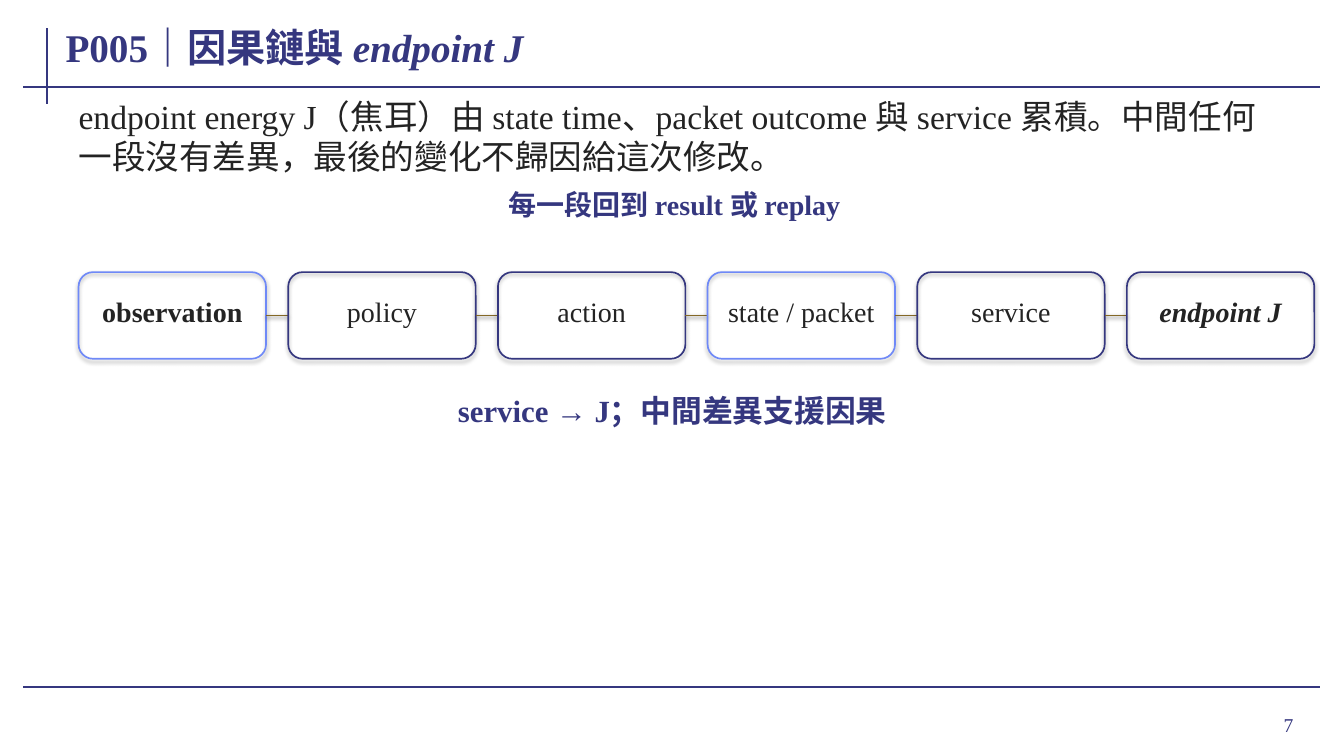
from dataclasses import dataclass

import pptx
import pptx.dml.color
import pptx.enum.shapes
import pptx.enum.text
import pptx.oxml
import pptx.oxml.ns
import pptx.util

Pt = pptx.util.Pt
RGBColor = pptx.dml.color.RGBColor
ALIGN = pptx.enum.text.PP_ALIGN
ANCHOR = pptx.enum.text.MSO_ANCHOR
AUTO = pptx.enum.text.MSO_AUTO_SIZE

NAVY = RGBColor(0x35, 0x37, 0x7F)
BLUE = RGBColor(0x6F, 0x89, 0xF7)
INK = RGBColor(0x23, 0x23, 0x23)
BROWN = RGBColor(0x84, 0x68, 0x26)
FONT = "Times New Roman"

STEP_LEFT, STEP_TOP, STEP_W, STEP_H, STEP_PITCH = 56.16, 194.4, 133.92, 61.92, 149.76
LABEL_INSET, LABEL_TOP, LABEL_H = 4.32, 211.68, 21.6


@dataclass
class Run:
    text: str
    bold: bool = False
    italic: bool = False


@dataclass
class Box:
    left: float
    top: float
    width: float
    height: float
    size: float
    color: RGBColor
    runs: list[Run]
    align: ALIGN = ALIGN.CENTER
    anchor: ANCHOR = ANCHOR.MIDDLE
    inset_x: float = 0
    inset_y: float = 0
    auto: AUTO = AUTO.SHAPE_TO_FIT_TEXT


@dataclass
class Step:
    label: Run
    line: RGBColor = NAVY


def fill_text(sp, box: Box) -> None:
    sp.left, sp.top = Pt(box.left), Pt(box.top)
    sp.width, sp.height = Pt(box.width), Pt(box.height)
    tf = sp.text_frame
    tf.word_wrap = True
    tf.auto_size = box.auto
    tf.vertical_anchor = box.anchor
    tf.margin_left = tf.margin_right = Pt(box.inset_x)
    tf.margin_top = tf.margin_bottom = Pt(box.inset_y)
    p = tf.paragraphs[0]
    p.alignment = box.align
    for run in box.runs:
        r = p.add_run()
        r.text = run.text
        r.font.name = FONT
        r.font.size = Pt(box.size)
        r.font.bold, r.font.italic = run.bold, run.italic
        r.font.color.rgb = box.color


def add_text(s, box: Box) -> None:
    fill_text(s.shapes.add_textbox(0, 0, 0, 0), box)


def set_shadow(sp, alpha: int = 0, blur: float = 0, dist: float = 0) -> None:
    """Add a downward black shadow, or an empty effect list when alpha is 0."""
    shadow = (
        f'<a:outerShdw blurRad="{Pt(blur)}" dist="{Pt(dist)}" dir="5400000" '
        f'algn="ctr" rotWithShape="0"><a:srgbClr val="000000">'
        f'<a:alpha val="{alpha * 1000}"/></a:srgbClr></a:outerShdw>'
    ) if alpha else ""
    ns = pptx.oxml.ns.nsdecls("a")
    sp._element.spPr.append(
        pptx.oxml.parse_xml(f"<a:effectLst {ns}>{shadow}</a:effectLst>"))


def add_line(s, x1: float, y1: float, x2: float, y2: float,
             color: RGBColor, width: float):
    ln = s.shapes.add_connector(pptx.enum.shapes.MSO_CONNECTOR.STRAIGHT,
                                Pt(x1), Pt(y1), Pt(x2), Pt(y2))
    ln.line.color.rgb = color
    ln.line.width = Pt(width)
    return ln


def add_step(s, left: float, step: Step) -> None:
    sp = s.shapes.add_shape(pptx.enum.shapes.MSO_SHAPE.ROUNDED_RECTANGLE,
                            Pt(left), Pt(STEP_TOP), Pt(STEP_W), Pt(STEP_H))
    sp.fill.background()
    sp.line.color.rgb = step.line
    sp.line.width = Pt(1.2)
    set_shadow(sp, 35, 3.1, 1.8)
    add_text(s, Box(left + LABEL_INSET, LABEL_TOP, STEP_W - 2 * LABEL_INSET, LABEL_H,
                    20, INK, [step.label], inset_x=0.72))


FRAME_LINES = [
    (33.84, 20.16, 33.84, 74.16),
    (16.56, 61.92, 943.2, 61.92),
    (16.56, 491.04, 943.2, 491.04),
]

TITLE = Box(44.64, 10.8, 899.28, 44.64, 28, NAVY,
            [Run("P005｜因果鏈與 ", True), Run("endpoint J", True, True)],
            ALIGN.LEFT, inset_x=2.16, inset_y=0.72, auto=AUTO.NONE)

TEXTS = [
    Box(861.12, 498.96, 69.84, 37.44, 14, NAVY, [Run("7")], ALIGN.RIGHT,
        inset_x=7.2, inset_y=3.6, auto=AUTO.NONE),
    Box(51.84, 66.96, 856.8, 60.48, 24, INK,
        [Run("endpoint energy J（焦耳）由 state time、packet outcome 與 service 累積。"
             "中間任何一段沒有差異，最後的變化不歸因給這次修改。")],
        ALIGN.LEFT, ANCHOR.TOP, 4.32, 1.44),
    Box(60.48, 134.64, 842.4, 23.04, 20, NAVY,
        [Run("每一段回到 result 或 replay", True)], inset_x=1.44),
    Box(102.24, 277.92, 756, 30.24, 22, NAVY,
        [Run("service → J；中間差異支援因果", True)], inset_x=5.76, inset_y=4.32),
]

STEPS = [
    Step(Run("observation", True), BLUE),
    Step(Run("policy")),
    Step(Run("action")),
    Step(Run("state / packet"), BLUE),
    Step(Run("service")),
    Step(Run("endpoint J", True, True)),
]


def main() -> None:
    prs = pptx.Presentation()
    prs.slide_width, prs.slide_height = Pt(960), Pt(540)
    s = prs.slides.add_slide(prs.slide_layouts[5])

    # Frame rules
    for ends in FRAME_LINES:
        set_shadow(add_line(s, *ends, NAVY, 1.5))

    # Title, statements and page number
    fill_text(s.shapes.title, TITLE)
    for box in TEXTS:
        add_text(s, box)

    # Causal chain
    middle = STEP_TOP + STEP_H / 2
    for i, step in enumerate(STEPS):
        left = STEP_LEFT + i * STEP_PITCH
        if i:
            link = add_line(s, left - STEP_PITCH + STEP_W, middle, left, middle, BROWN, 1.4)
            set_shadow(link, 38, 3.1, 1.6)
        add_step(s, left, step)

    prs.save("out.pptx")


if __name__ == "__main__":
    main()
